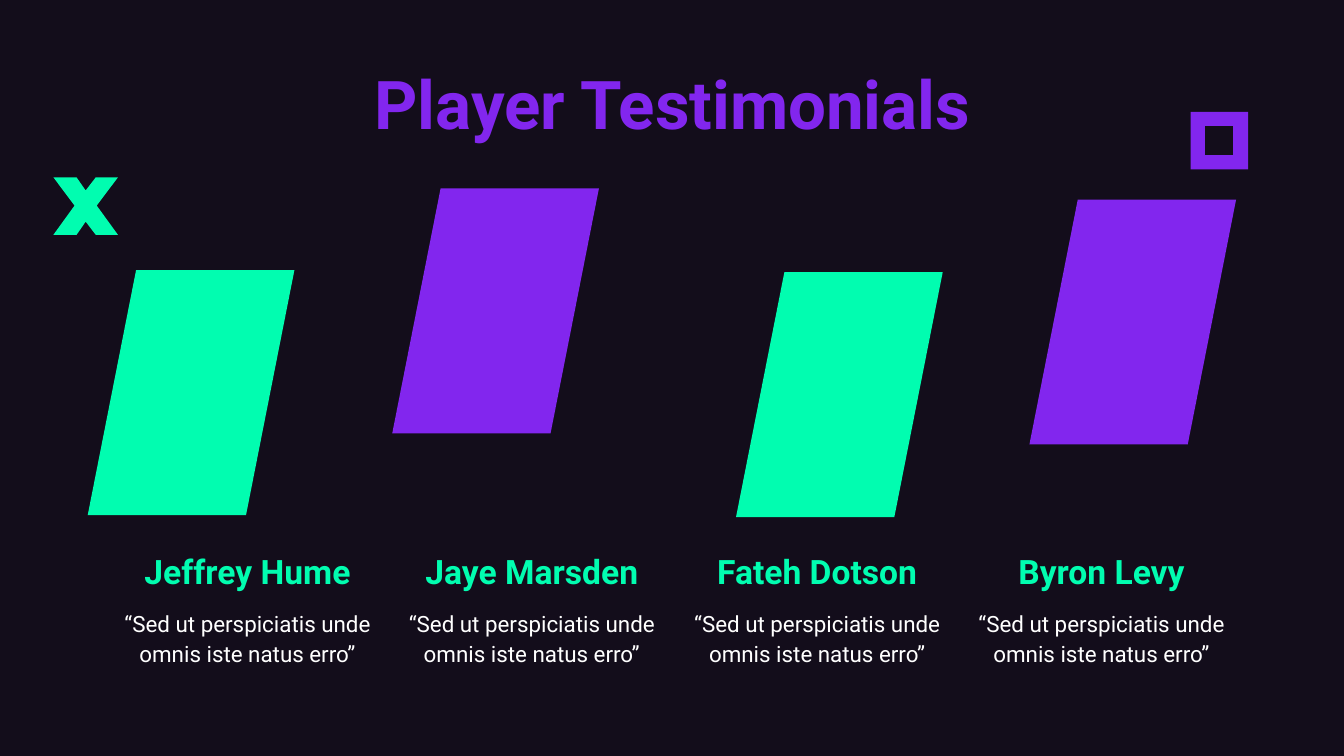
from pptx import Presentation
from pptx.dml.color import RGBColor
from pptx.enum.shapes import MSO_SHAPE
from pptx.enum.text import MSO_ANCHOR, PP_ALIGN
from pptx.util import Pt

PX = 9144
COLORS = {"night": "130D1B", "violet": "8226EE", "mint": "01FDB0", "white": "FFFFFF"}


def color(name):
    return RGBColor.from_string(COLORS[name])


def write(frame, text, size=16, ink="white", bold=False, lead=1.1, font="Roboto"):
    para = frame.paragraphs[0]
    para.alignment = PP_ALIGN.CENTER
    para.line_spacing = lead
    run = para.add_run()
    run.text = text
    run.font.name = font
    run.font.size = Pt(size)
    run.font.bold = bold
    run.font.color.rgb = color(ink)


class Page:
    """Holds the slide and draws its elements in px."""

    def __init__(self, deck, back):
        self.slide = deck.slides.add_slide(deck.slide_layouts[6])
        self.shapes = self.slide.shapes
        self.slide.background.fill.solid()
        self.slide.background.fill.fore_color.rgb = color(back)

    def paint(self, shape, fill):
        shape.shadow.inherit = False
        shape.fill.solid()
        shape.fill.fore_color.rgb = color(fill)
        shape.line.fill.background()

    def slant(self, x, y, fill):
        shape = self.shapes.add_shape(
            MSO_SHAPE.PARALLELOGRAM, x * PX, y * PX, 205 * PX, 243 * PX)
        shape.adjustments[0] = 0.234
        self.paint(shape, fill)

    def outline(self, loops, fill):
        first, *others = loops
        pen = self.shapes.build_freeform(*first[0], scale=PX)
        pen.add_line_segments(first[1:], close=True)
        for loop in others:
            pen.move_to(*loop[0])
            pen.add_line_segments(loop[1:], close=True)
        self.paint(pen.convert_to_shape(), fill)

    def text(self, x, y, w, h, text, anchor=MSO_ANCHOR.TOP, **style):
        frame = self.shapes.add_textbox(x * PX, y * PX, w * PX, h * PX).text_frame
        frame.word_wrap = True
        frame.vertical_anchor = anchor
        frame.margin_left = frame.margin_right = 0
        frame.margin_top = frame.margin_bottom = 0
        write(frame, text, **style)


def main():
    deck = Presentation()
    deck.slide_width, deck.slide_height = 1333 * PX, 750 * PX
    page = Page(deck, "night")

    for x, y, fill in [(1021, 198, "violet"), (389, 187, "violet"),
                       (87, 268, "mint"), (730, 270, "mint")]:
        page.slant(x, y, fill)

    inner = [(1195, 125), (1195, 154), (1223, 154), (1223, 125)]
    outer = [(1181, 111), (1238, 111), (1238, 168), (1181, 168)]
    page.outline([inner, outer], "violet")
    cross = [(53, 176), (76, 176), (85, 189), (95, 176), (117, 176), (96, 204),
             (117, 233), (95, 233), (85, 220), (76, 233), (53, 233), (74, 204)]
    page.outline([cross], "mint")

    page.text(225, 0, 884, 143, "Player Testimonials", MSO_ANCHOR.BOTTOM,
              size=48, ink="violet", bold=True, lead=0.9)
    quote = "“Sed ut perspiciatis unde omnis iste natus erro”"
    names = ["Jeffrey Hume", "Jaye Marsden", "Fateh Dotson", "Byron Levy"]
    for i, name in enumerate(names):
        x = round(109 + 847 * i / 3)
        page.text(x, 603, 273, 90, quote)
        page.text(x, 520, 273, 67, name, MSO_ANCHOR.BOTTOM,
                  size=24, ink="mint", bold=True)

    deck.save("out.pptx")


if __name__ == "__main__":
    main()
